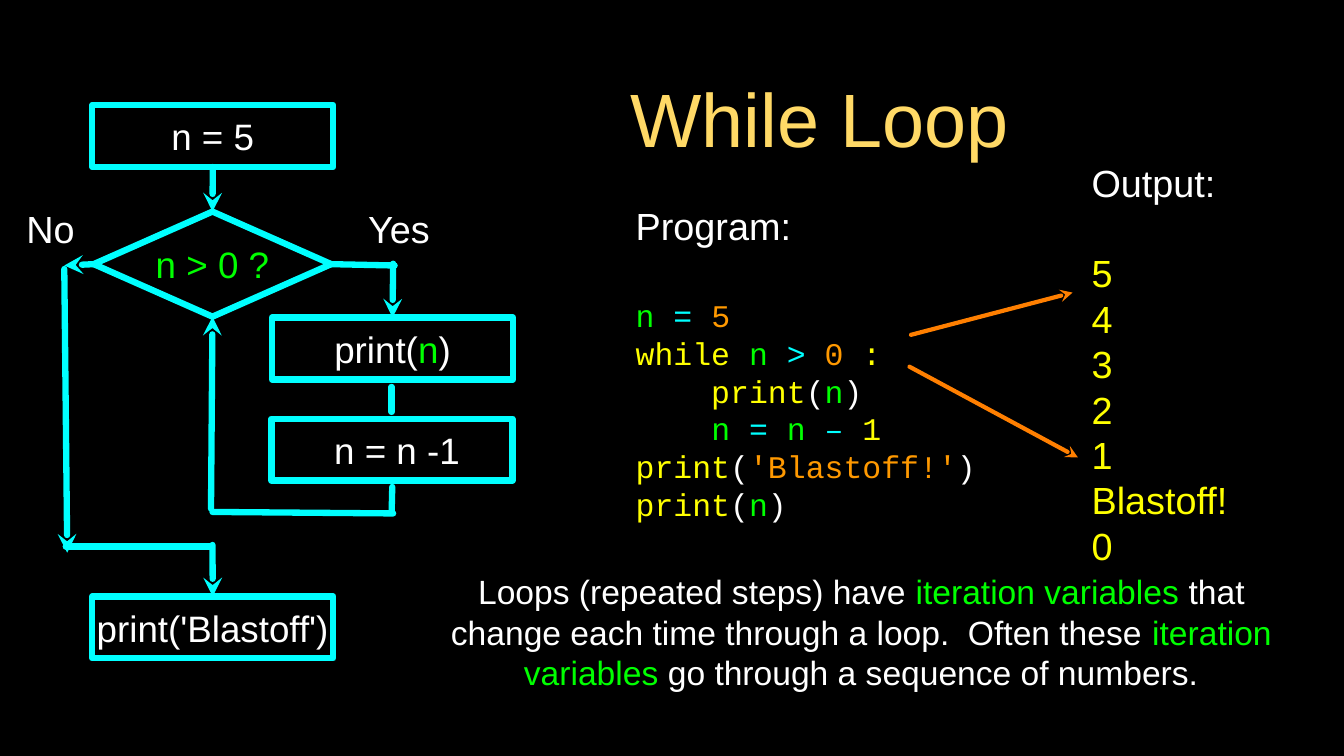
import dataclasses

import pptx
import pptx.dml.color
import pptx.enum.shapes
import pptx.enum.text
import pptx.oxml
import pptx.oxml.ns
import pptx.util

Cm, Pt = pptx.util.Cm, pptx.util.Pt
SHAPE = pptx.enum.shapes.MSO_SHAPE
ALIGN = pptx.enum.text.PP_ALIGN
TOP, LEFT, BOTTOM, RIGHT = range(4)


@dataclasses.dataclass(frozen=True)
class Theme:
    back: str = "000000"
    gold: str = "FFD966"
    white: str = "FFFFFF"
    green: str = "00FF00"
    cyan: str = "00FFFF"
    yellow: str = "FFFF00"
    amber: str = "FF9900"
    orange: str = "FF7F00"
    sans: str = "Arial"
    mono: str = "Courier New"
    title: int = 72
    head: int = 36
    node: int = 35
    note: int = 32
    code: int = 30
    flow: int = 6
    link: int = 4


T = Theme()


def rgb(color):
    return pptx.dml.color.RGBColor.from_string(color)


def write(para, runs, size, face=T.sans, align=ALIGN.LEFT):
    """Fill a paragraph with (text, colour) runs."""
    para.alignment = align
    para.line_spacing = Pt(1.2 * size)
    para.font.size, para.font.name = Pt(size), face
    if len(runs) == 1:
        para.font.color.rgb = rgb(runs[0][1])
    for text, color in runs:
        run = para.add_run()
        run.text = text
        if len(runs) > 1:
            run.font.color.rgb = rgb(color)


def frame(shape, inset=0):
    """Prepare a wrapped, vertically centred text frame."""
    area = shape.text_frame
    area.word_wrap = True
    area.vertical_anchor = pptx.enum.text.MSO_ANCHOR.MIDDLE
    area.margin_left = area.margin_right = Cm(inset)
    area.margin_top = area.margin_bottom = Cm(inset)
    return area


def label(slide, box):
    return frame(slide.shapes.add_textbox(*map(Cm, box)))


def node(slide, kind, box, runs):
    """Add an outlined flowchart symbol."""
    shape = slide.shapes.add_shape(kind, *map(Cm, box))
    shape.shadow.inherit = False
    shape.fill.background()
    shape.line.color.rgb = rgb(T.cyan)
    shape.line.width = Pt(T.flow)
    write(frame(shape).paragraphs[0], runs, T.node, align=ALIGN.CENTER)
    return shape


def link(slide, start, end, color, width, arrow=False):
    """Join two ends; each is a point in cm or a (shape, side) pair."""
    ends = [(0, 0) if hasattr(e[0], "shape_id") else e for e in (start, end)]
    line = slide.shapes.add_connector(
        pptx.enum.shapes.MSO_CONNECTOR.STRAIGHT,
        *(Cm(v) for point in ends for v in point))
    if hasattr(start[0], "shape_id"):
        line.begin_connect(*start)
    if hasattr(end[0], "shape_id"):
        line.end_connect(*end)
    line.line.color.rgb = rgb(color)
    line.line.width = Pt(width)
    stroke = line.line._get_or_add_ln()
    stroke.set("cap", "rnd")
    names = pptx.oxml.ns.nsdecls("a")
    if arrow:
        stroke.append(pptx.oxml.parse_xml(f'<a:tailEnd {names} type="stealth"/>'))
    line._element.spPr.append(pptx.oxml.parse_xml(f"<a:effectLst {names}/>"))


def flow(slide, x, y):
    """Flowchart with its top left corner at x, y."""
    def block(dx, dy, *runs):
        return node(slide, SHAPE.RECTANGLE, (x + dx, y + dy, 8.1, 2.08), runs)

    def at(dx, dy):
        return x + dx, y + dy

    # Symbols
    first = block(2.4, 0, ("n = 5", T.white))
    test = node(slide, SHAPE.DIAMOND, (*at(2.45, 3.58), 7.98, 3.53),
                [("n > 0 ?", T.green)])
    show = block(8.44, 7.14, ("print(", T.white), ("n", T.green), (")", T.white))
    block(8.42, 10.54, (" n = n -1", T.white))
    last = block(2.4, 16.51, ("print('Blastoff')", T.white))

    # Branch labels
    for text, dx, wide in (("No", 0, 2), ("Yes", 11.44, 2.54)):
        area = label(slide, (*at(dx, 3.28), wide, 1.73))
        write(area.paragraphs[0], [(text, T.white)], T.head, align=ALIGN.CENTER)

    # Paths: start, end, arrowhead
    paths = (
        ((first, BOTTOM), (test, TOP), True),
        ((test, RIGHT), at(12.56, 5.39), False),
        (at(12.51, 5.33), (show, TOP), True),
        (at(12.46, 9.47), at(12.46, 10.31), False),
        (at(12.48, 12.83), at(12.46, 13.67), False),
        (at(12.51, 13.72), at(6.44, 13.67), False),
        (at(6.39, 13.56), (test, BOTTOM), True),
        ((test, LEFT), at(1.46, 5.39), True),
        (at(1.46, 5.51), at(1.56, 15.04), True),
        (at(1.51, 14.83), at(6.39, 14.83), False),
        (at(6.44, 14.78), (last, TOP), True),
    )
    for start, end, arrow in paths:
        link(slide, start, end, T.cyan, T.flow, arrow)


def listing(slide, box, head, lines, size, face, gap):
    """Heading with lines of coloured text below a gap."""
    area = label(slide, box)
    write(area.paragraphs[0], [(head, T.white)], T.head)
    for i, runs in enumerate(lines):
        para = area.add_paragraph()
        write(para, runs, size, face)
        if i == 0:
            para.space_before = Pt(gap)


def program(slide, box):
    n, left, right = ("n", T.green), ("(", T.white), (")", T.white)
    var, equal = ("n ", T.green), ("= ", T.cyan)
    lines = (
        (var, equal, ("5", T.amber)),
        (("while ", T.yellow), var, ("> ", T.cyan), ("0", T.amber), (" :", T.yellow)),
        (("    print", T.yellow), left, n, right),
        (("    ", T.yellow), var, equal, var, ("–", T.cyan), (" 1", T.yellow)),
        (("print", T.yellow), left, ("'Blastoff!'", T.amber), right),
        (("print", T.yellow), left, n, right),
    )
    listing(slide, box, "Program:", lines, T.code, T.mono, 46)


def output(slide, box):
    lines = [[(text, T.yellow)] for text in "5 4 3 2 1 Blastoff! 0".split()]
    listing(slide, box, "Output:", lines, T.head, T.sans, 43.2)


def note(slide, box):
    runs = (
        ("Loops (repeated steps) have ", T.white),
        ("iteration variables ", T.green),
        ("that change each time through a loop.  Often these ", T.white),
        ("iteration variables ", T.green),
        ("go through a sequence of numbers.", T.white),
    )
    write(label(slide, box).paragraphs[0], runs, T.note, align=ALIGN.CENTER)


def heading(slide, box):
    title = slide.shapes.title
    title.left, title.top, title.width, title.height = map(Cm, box)
    write(frame(title, 0.1).paragraphs[0], [("While Loop", T.gold)],
          T.title, align=ALIGN.CENTER)


def main():
    deck = pptx.Presentation()
    deck.slide_width, deck.slide_height = Cm(45.16), Cm(25.4)
    slide = deck.slides.add_slide(deck.slide_layouts[5])
    slide.background.fill.solid()
    slide.background.fill.fore_color.rgb = rgb(T.back)

    heading(slide, (13.16, 2.26, 28.75, 3.33))
    flow(slide, 0.7, 3.53)
    program(slide, (21.36, 6.02, 11.76, 12.32))
    output(slide, (36.68, 5.56, 4.8, 13.31))
    note(slide, (14.2, 18.92, 29.49, 4.62))

    # Arrows from the loop to its first and last output
    for start, end in (((30.61, 11.25), (36.04, 9.83)),
                       ((30.56, 12.32), (36.22, 15.37))):
        link(slide, start, end, T.orange, T.link, True)
    deck.save("out.pptx")


if __name__ == "__main__":
    main()
